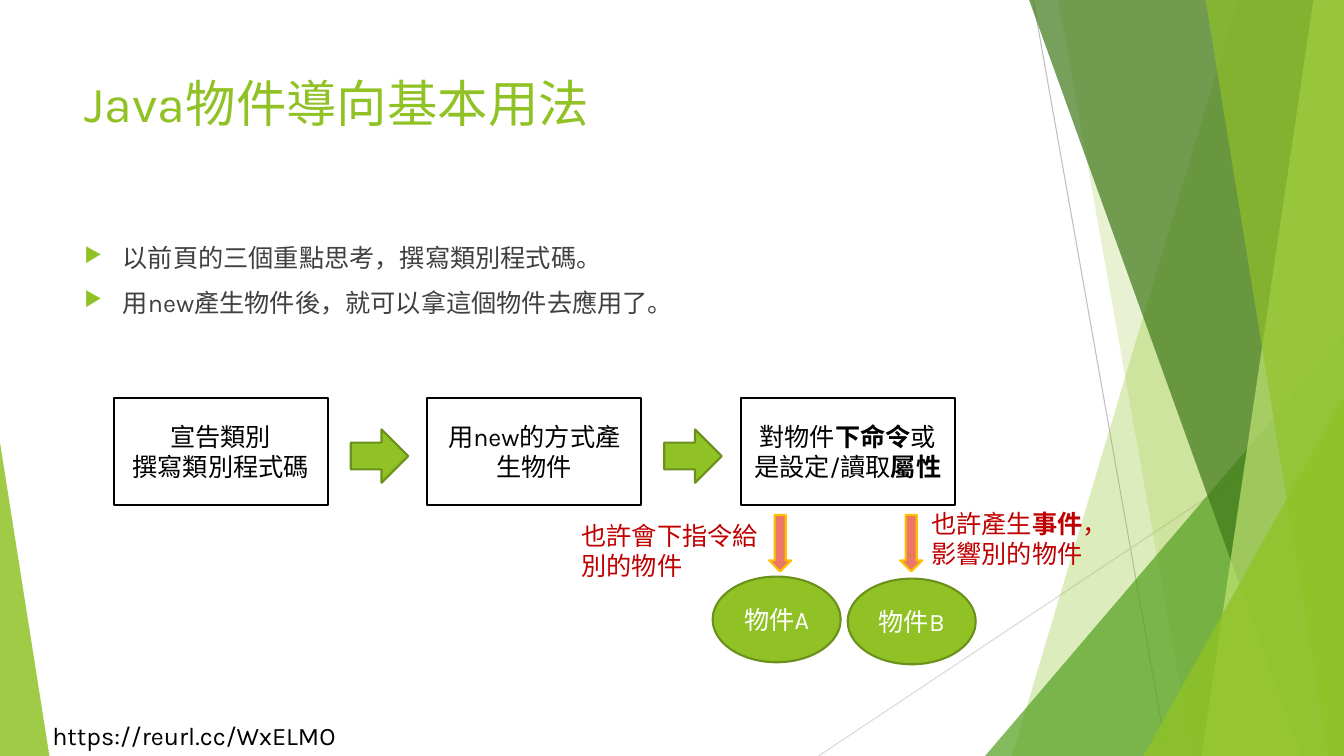
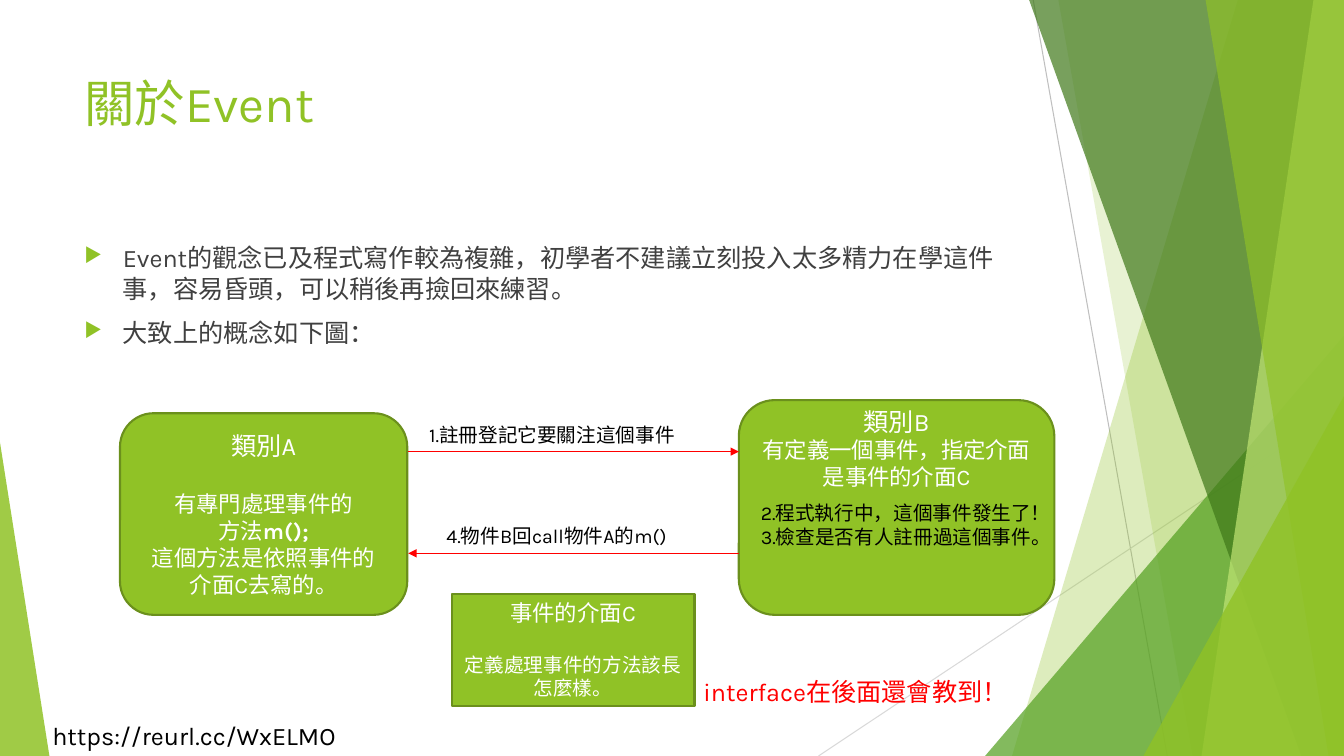
from dataclasses import dataclass

from lxml.etree import SubElement
from pptx import Presentation
from pptx.dml.color import RGBColor
from pptx.enum.shapes import MSO_CONNECTOR, MSO_SHAPE
from pptx.enum.text import MSO_ANCHOR, PP_ALIGN
from pptx.oxml.ns import qn
from pptx.util import Inches, Pt

COLS, ROWS = 133.33, 75  # grid cells of 0.1 inch


@dataclass(frozen=True)
class Theme:
    font: str = "Karla"
    green: str = "90C226"
    green_line: str = "6B901C"
    mid_green: str = "54A021"
    dark_green: str = "3F7819"
    pale_green: str = "C0E474"
    dark_gray: str = "BFBFBF"
    light_gray: str = "D9D9D9"
    coral: str = "EB7766"
    amber: str = "FFC000"
    body: str = "404040"
    black: str = "000000"
    white: str = "FFFFFF"
    crimson: str = "C00000"
    red: str = "FF0000"
    title_pt: int = 36
    text_pt: int = 18
    detail_pt: int = 16
    label_pt: int = 14
    line_pt: float = 1.5


T = Theme()


@dataclass(frozen=True)
class Box:
    """A region of the grid; inner boxes are placed from its top left corner."""
    x: float
    y: float
    w: float
    h: float

    def inner(self, x, y, w, h):
        return Box(self.x + x, self.y + y, w, h)

    def emu(self):
        return [cells(v) for v in (self.x, self.y, self.w, self.h)]


@dataclass(frozen=True)
class Para:
    """A paragraph; text between ** marks is bold."""
    text: str
    size: int = T.text_pt
    before: float = 0


def cells(n):
    return Inches(n / 10)


def rgb(value):
    return RGBColor.from_string(value)


# Text
def write(tf, paras, color, align=PP_ALIGN.LEFT, bullet=False):
    tf.word_wrap = True
    for i, para in enumerate(paras):
        p = tf.add_paragraph() if i else tf.paragraphs[0]
        p.alignment = align
        if para.before:
            p.space_before = Pt(para.before)
        if bullet:
            add_bullet(p)
        for j, text in enumerate(para.text.split("**")):
            if text:
                r = p.add_run()
                r.text = text
                r.font.name = T.font
                r.font.size = Pt(para.size)
                r.font.bold = j % 2 == 1
                r.font.color.rgb = rgb(color)


def add_bullet(p):
    pPr = p._p.get_or_add_pPr()
    pPr.set("marL", str(Inches(0.38)))
    pPr.set("indent", str(-Inches(0.38)))
    clr = SubElement(pPr, qn("a:buClr"))
    SubElement(clr, qn("a:srgbClr"), val=T.green)
    SubElement(pPr, qn("a:buSzPct"), val="80000")
    SubElement(pPr, qn("a:buChar"), char="▶")


def text_box(s, box, paras, color, bullet=False):
    sp = s.shapes.add_textbox(*box.emu())
    write(sp.text_frame, paras, color, bullet=bullet)


# Shapes and lines
def paint(sp, fill, line=None, alpha=None):
    sp.shadow.inherit = False
    sp.fill.solid()
    sp.fill.fore_color.rgb = rgb(fill)
    if alpha:
        clr = sp.element.spPr.find(qn("a:solidFill")).find(qn("a:srgbClr"))
        SubElement(clr, qn("a:alpha"), val=str(alpha * 1000))
    if line:
        sp.line.color.rgb = rgb(line)
        sp.line.width = Pt(T.line_pt)
    else:
        sp.line.fill.background()


def shape(s, kind, box, paras=(), fill=T.green, line=T.green_line, color=T.white):
    sp = s.shapes.add_shape(kind, *box.emu())
    paint(sp, fill, line)
    if paras:
        sp.text_frame.vertical_anchor = MSO_ANCHOR.MIDDLE
        write(sp.text_frame, paras, color, PP_ALIGN.CENTER)
    return sp


def line(s, x1, y1, x2, y2, color, width, arrow=False):
    ends = [cells(v) for v in (x1, y1, x2, y2)]
    cx = s.shapes.add_connector(MSO_CONNECTOR.STRAIGHT, *ends)
    cx.line.color.rgb = rgb(color)
    cx.line.width = Pt(width)
    if arrow:
        ln = cx.element.spPr.find(qn("a:ln"))
        SubElement(ln, qn("a:tailEnd"), type="triangle")
    SubElement(cx.element.spPr, qn("a:effectLst"))


# Shared backdrop
def facet(s, top, bottom, fill, alpha):
    """Full-height pane from a slanted left side to the slide's right edge."""
    pts = [(cells(x), cells(y)) for x, y in
           ((top, 0), (COLS, 0), (COLS, ROWS), (bottom, ROWS))]
    fb = s.shapes.build_freeform(*pts[0])
    fb.add_line_segments(pts[1:], close=True)
    paint(fb.convert_to_shape(), fill, alpha=alpha)


def corner(s, w, h, fill, alpha, right=True):
    """Right triangle standing in a bottom corner of the slide."""
    box = Box(COLS - w if right else 0, ROWS - h, w, h)
    sp = s.shapes.add_shape(MSO_SHAPE.ISOSCELES_TRIANGLE, *box.emu())
    sp.adjustments[0] = 1 if right else 0
    paint(sp, fill, alpha=alpha)


def backdrop(s):
    line(s, 102.5, 0, 115.8, ROWS, T.dark_gray, 0.75)
    line(s, COLS, 40.3, 81.2, ROWS, T.light_gray, 0.75)
    facet(s, 122.8, 100.4, T.green, 30)
    facet(s, 105, 118.3, T.green, 20)
    corner(s, 35.6, 41.7, T.mid_green, 72)
    facet(s, 102.1, 129.1, T.dark_green, 70)
    facet(s, 130.3, 119.2, T.pale_green, 70)
    facet(s, 119.6, 131.8, T.green, 65)
    corner(s, 19.9, 35.7, T.green, 80)
    corner(s, 4.9, 31.1, T.green, 85, right=False)
    text_box(s, Box(4.2, 71, 31.2, 4), [Para("https://reurl.cc/WxELMO")], T.black)


def base_slide(prs, title, points):
    s = prs.slides.add_slide(prs.slide_layouts[6])
    backdrop(s)
    text_box(s, Box(7.4, 6.7, 94, 14.4), [Para(title, T.title_pt)], T.green)
    paras = [Para(t, before=10 if i else 0) for i, t in enumerate(points)]
    text_box(s, Box(7.4, 23.6, 94, 42.4), paras, T.body, bullet=True)
    return s


# Three steps joined by block arrows
def steps(s, box, texts):
    step_w, pitch = 21.2, 31.1
    for i, lines in enumerate(texts):
        x = i * pitch
        shape(s, MSO_SHAPE.RECTANGLE, box.inner(x, 0, step_w, box.h),
              [Para(t) for t in lines], T.white, T.black, T.black)
        if i:
            shape(s, MSO_SHAPE.RIGHT_ARROW, box.inner(x - 7.6, 3.1, 5.7, 5.3))


# Objects reached from the last step
def effects(s, box):
    for x, y, arrow_x, name in ((0, 6.1, 5.6, "物件A"), (13.4, 6.3, 18.6, "物件B")):
        shape(s, MSO_SHAPE.DOWN_ARROW, box.inner(arrow_x, 0, 2.2, 5.6),
              fill=T.coral, line=T.amber)
        shape(s, MSO_SHAPE.OVAL, box.inner(x, y, 12.7, 8.5), [Para(name)])
    text_box(s, box.inner(-14, 0, 19.7, 7.1),
             [Para("也許會下指令給"), Para("別的物件")], T.crimson)
    text_box(s, box.inner(20.7, -1.2, 19.7, 7.1),
             [Para("也許產生**事件**，"), Para("影響別的物件")], T.crimson)


# Two classes exchanging calls
def event_diagram(s, box):
    class_b = shape(s, MSO_SHAPE.ROUNDED_RECTANGLE, box.inner(61.4, 0, 31.3, 21.3), [
        Para("類別B"), Para("有定義一個事件，指定介面是事件的介面C", T.detail_pt)])
    class_b.text_frame.margin_top = 0
    class_b.text_frame.margin_bottom = Inches(1.18)
    shape(s, MSO_SHAPE.ROUNDED_RECTANGLE, box.inner(0, 1.3, 28.5, 20), [
        Para("類別A"),
        Para("有專門處理事件的", T.detail_pt, before=21),
        *(Para(t, T.detail_pt) for t in
          ("方法**m();**", "這個方法是依照事件的", "介面C去寫的。"))])

    left, right = box.x + 28.6, box.x + 61.4
    for x1, x2, y in ((left, right, 5.1), (right, left, 15.2)):
        line(s, x1, box.y + y, x2, box.y + y, T.red, 1, arrow=True)

    for x, y, w, h, texts in (
            (29.7, 1.8, 27.3, 3.4, ["1.註冊登記它要關注這個事件"]),
            (62.6, 9.5, 31.3, 5.7, ["2.程式執行中，這個事件發生了！",
                                    "3.檢查是否有人註冊過這個事件。"]),
            (31.4, 11.8, 24, 3.4, ["4.物件B回call物件A的m()"])):
        text_box(s, box.inner(x, y, w, h),
                 [Para(t, T.label_pt) for t in texts], T.black)

    shape(s, MSO_SHAPE.RECTANGLE, box.inner(32.9, 19.2, 24.1, 11.1), [
        Para("事件的介面C", T.detail_pt),
        Para("定義處理事件的方法該長怎麼樣。", T.label_pt, before=19)])
    text_box(s, box.inner(56.9, 26.9, 32.6, 4),
             [Para("interface在後面還會教到！")], T.red)


def main():
    prs = Presentation()
    prs.slide_width, prs.slide_height = cells(COLS), cells(ROWS)

    s = base_slide(prs, "Java物件導向基本用法", [
        "以前頁的三個重點思考，撰寫類別程式碼。",
        "用new產生物件後，就可以拿這個物件去應用了。"])
    steps(s, Box(11.3, 39.5, 83.4, 10.6), [
        ["宣告類別", "撰寫類別程式碼"],
        ["用new的方式產生物件"],
        ["對物件**下命令**或是設定/讀取**屬性**"]])
    effects(s, Box(70.7, 51.1, 26.1, 14.8))

    s = base_slide(prs, "關於Event", [
        "Event的觀念已及程式寫作較為複雜，初學者不建議立刻投入太多精力在學這件事，"
        "容易昏頭，可以稍後再撿回來練習。",
        "大致上的概念如下圖："])
    event_diagram(s, Box(11.9, 39.7, 92.7, 30.9))

    prs.save("out.pptx")


if __name__ == "__main__":
    main()
